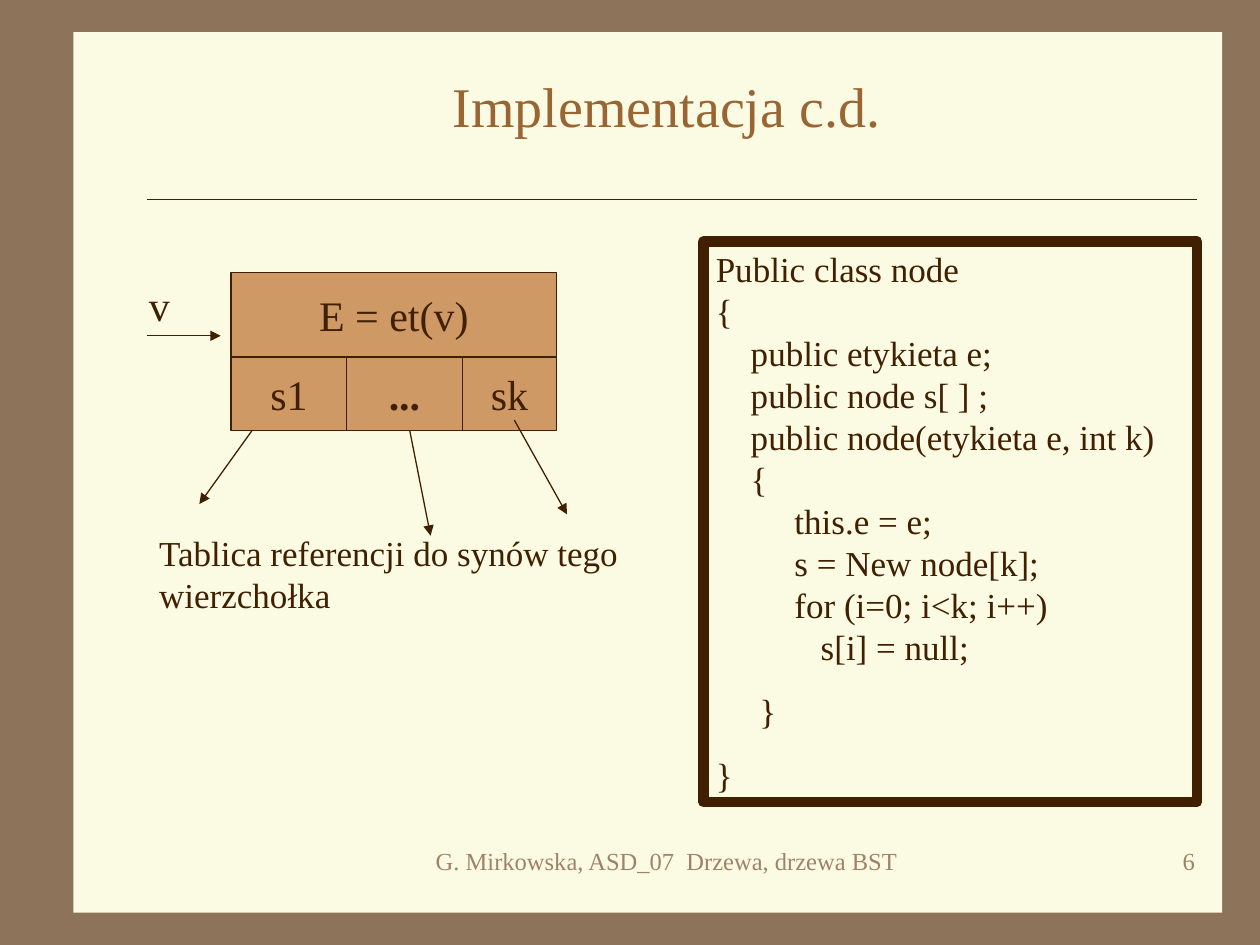
from pptx import Presentation
from pptx.dml.color import RGBColor
from pptx.enum.shapes import MSO_CONNECTOR as Connector, MSO_SHAPE as Shape
from pptx.enum.text import MSO_ANCHOR as Anchor, PP_ALIGN as Align
from pptx.oxml.ns import qn
from pptx.util import Cm, Pt
from lxml.etree import SubElement

INK = "402000"
BACKGROUND = "8C735A"
PAPER = "FBFAE2"
NODE = "CE9964"
HEADING = "996633"
FOOTER = "A08366"
FONT = "Times New Roman"

CODE = [
    "Public class node",
    "{",
    "    public etykieta e;",
    "    public node s[ ] ;",
    "    public node(etykieta e, int k)",
    "    {",
    "         this.e = e;",
    "         s = New node[k];",
    "         for (i=0; i<k; i++)",
    "            s[i] = null;",
    "     }",
    "}",
]
CLOSING_LINES = 2


def paint(color_format, color):
    """Give a fill or line a solid colour."""
    color_format.solid()
    color_format.fore_color.rgb = RGBColor.from_string(color)


def write(shape, lines, size, color=INK, align=Align.LEFT, anchor=Anchor.TOP, bold=False, wrap=True):
    """Write lines as paragraphs of one style and return the paragraphs."""
    frame = shape.text_frame
    frame.text = "\n".join(lines)
    frame.word_wrap = wrap
    frame.vertical_anchor = anchor
    for paragraph in frame.paragraphs:
        paragraph.alignment = align
        paragraph.space_before = Pt(0)
        font = paragraph.font
        font.name = FONT
        font.size = Pt(size)
        font.bold = bold
        font.color.rgb = RGBColor.from_string(color)
    return frame.paragraphs


def add_box(slide, left, top, width, height, fill=None, line_width=0):
    """Add a rectangle with optional fill and outline."""
    shape = slide.shapes.add_shape(Shape.RECTANGLE, Cm(left), Cm(top), Cm(width), Cm(height))
    shape.shadow.inherit = False
    if fill:
        paint(shape.fill, fill)
    else:
        shape.fill.background()
    if line_width:
        paint(shape.line.fill, INK)
        shape.line.width = Pt(line_width)
    else:
        shape.line.fill.background()
    return shape


def add_cell(slide, text, left, top, width, height, bold=False):
    """Add one labelled field of the tree node."""
    shape = add_box(slide, left, top, width, height, NODE, 0.75)
    write(shape, [text], 24, align=Align.CENTER, anchor=Anchor.MIDDLE, bold=bold, wrap=False)


def add_label(slide, text, left, top, width, height, size, color=INK, align=Align.LEFT):
    """Add a plain text box."""
    shape = slide.shapes.add_textbox(Cm(left), Cm(top), Cm(width), Cm(height))
    write(shape, [text], size, color, align)


def add_line(slide, start, end, arrow=True):
    """Add a thin straight line, with an arrowhead at its end if wanted."""
    points = [Cm(value) for value in (*start, *end)]
    connector = slide.shapes.add_connector(Connector.STRAIGHT, *points)
    paint(connector.line.fill, INK)
    connector.line.width = Pt(0.75)
    if arrow:
        SubElement(connector.line._get_or_add_ln(), qn("a:tailEnd"), type="triangle")
    SubElement(connector._element.spPr, qn("a:effectLst"))


def add_title(slide, text):
    """Place and format the title."""
    title = slide.shapes.title
    title.left, title.top, title.width, title.height = Cm(2.75), Cm(1.27), Cm(21.38), Cm(1.7)
    write(title, [text], 32, HEADING, Align.CENTER, Anchor.MIDDLE)


def add_paper(slide):
    """Lay the light page behind everything else."""
    paper = add_box(slide, 1.48, 0.65, 23.16, 17.75, PAPER)
    slide.shapes._spTree.insert(2, paper._element)


def add_node_diagram(slide):
    """Draw the node with its label, references and arrows."""
    left, top, label_height = 4.66, 5.5, 1.7
    fields = [("s1", 2.33, False), ("...", 2.33, True), ("sk", 1.9, False)]
    add_cell(slide, "E = et(v)", left, top, sum(width for _, width, _ in fields), label_height)
    add_label(slide, "v", 2.75, top, 1.27, 1.27, 24)
    for text, width, bold in fields:
        add_cell(slide, text, left, top + label_height, width, 1.48, bold)
        left += width
    arrows = [
        ((2.96, 6.77), (4.45, 6.77)),
        ((5.08, 8.68), (4.02, 10.16)),
        ((8.26, 8.68), (8.68, 10.8)),
        ((10.37, 8.47), (11.43, 10.37)),
    ]
    for start, end in arrows:
        add_line(slide, start, end)


def add_code(slide):
    """Add the framed class listing."""
    frame = add_box(slide, 14.18, 4.87, 9.95, 11.3, line_width=6)
    paragraphs = write(frame, CODE, 20)
    for paragraph in paragraphs[-CLOSING_LINES:]:
        paragraph.space_before = Pt(12.5)


def main():
    """Build and save the slide."""
    presentation = Presentation()
    presentation.slide_width, presentation.slide_height = Cm(25.4), Cm(19.05)
    slide = presentation.slides.add_slide(presentation.slide_layouts.get_by_name("Title Only"))
    paint(slide.background.fill, BACKGROUND)
    add_paper(slide)
    add_line(slide, (2.96, 4.02), (24.13, 4.02), arrow=False)
    add_title(slide, "Implementacja c.d.")
    add_node_diagram(slide)
    add_label(slide, "Tablica referencji do synów tego wierzchołka", 2.96, 10.58, 11.01, 1.95, 20)
    add_code(slide)
    add_label(slide, "G. Mirkowska, ASD_07  Drzewa, drzewa BST", 7.83, 16.93, 11.22, 1.27, 14, FOOTER, Align.CENTER)
    add_label(slide, "6", 19.05, 16.93, 5.29, 1.27, 14, FOOTER, Align.RIGHT)
    presentation.save("out.pptx")


if __name__ == "__main__":
    main()
